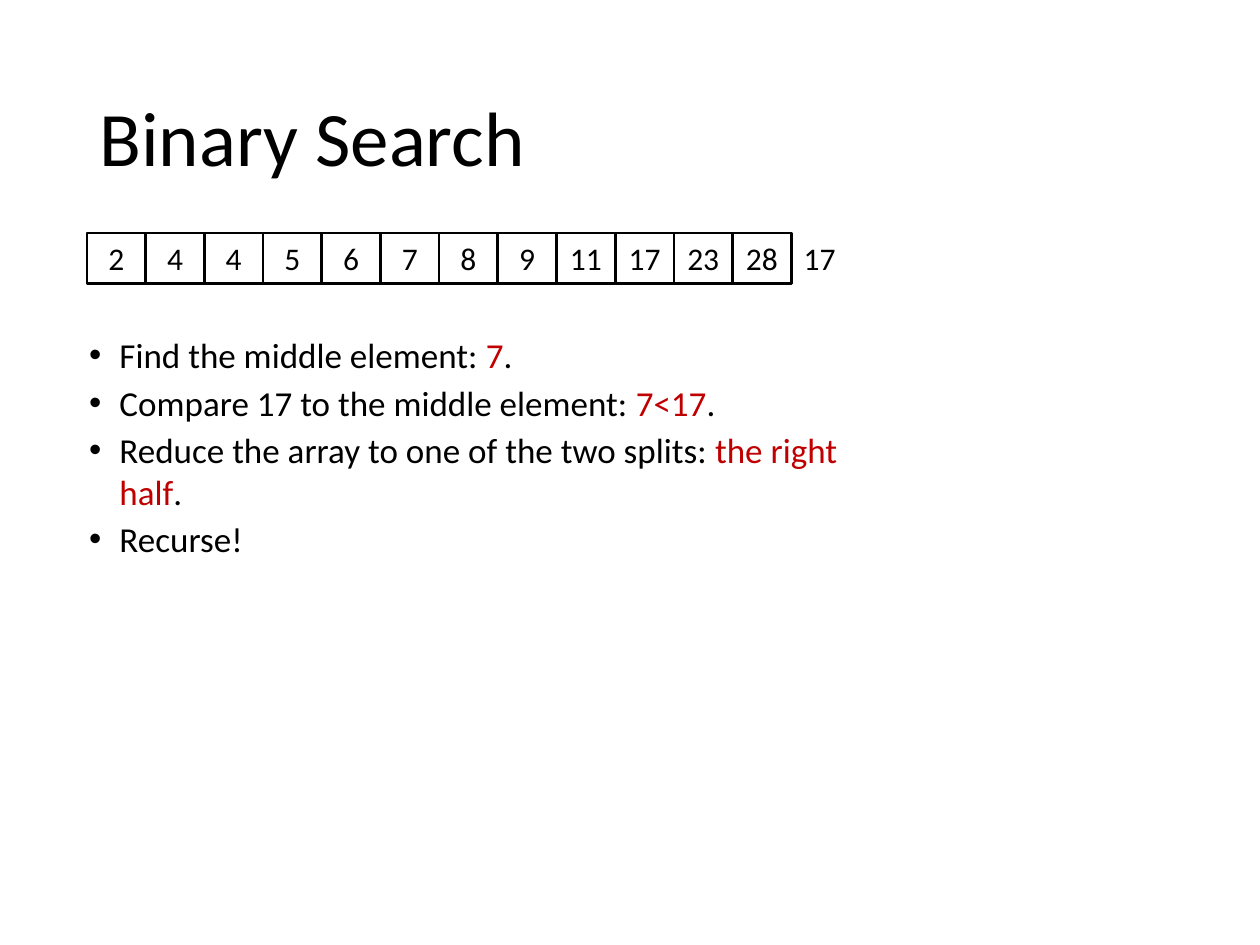
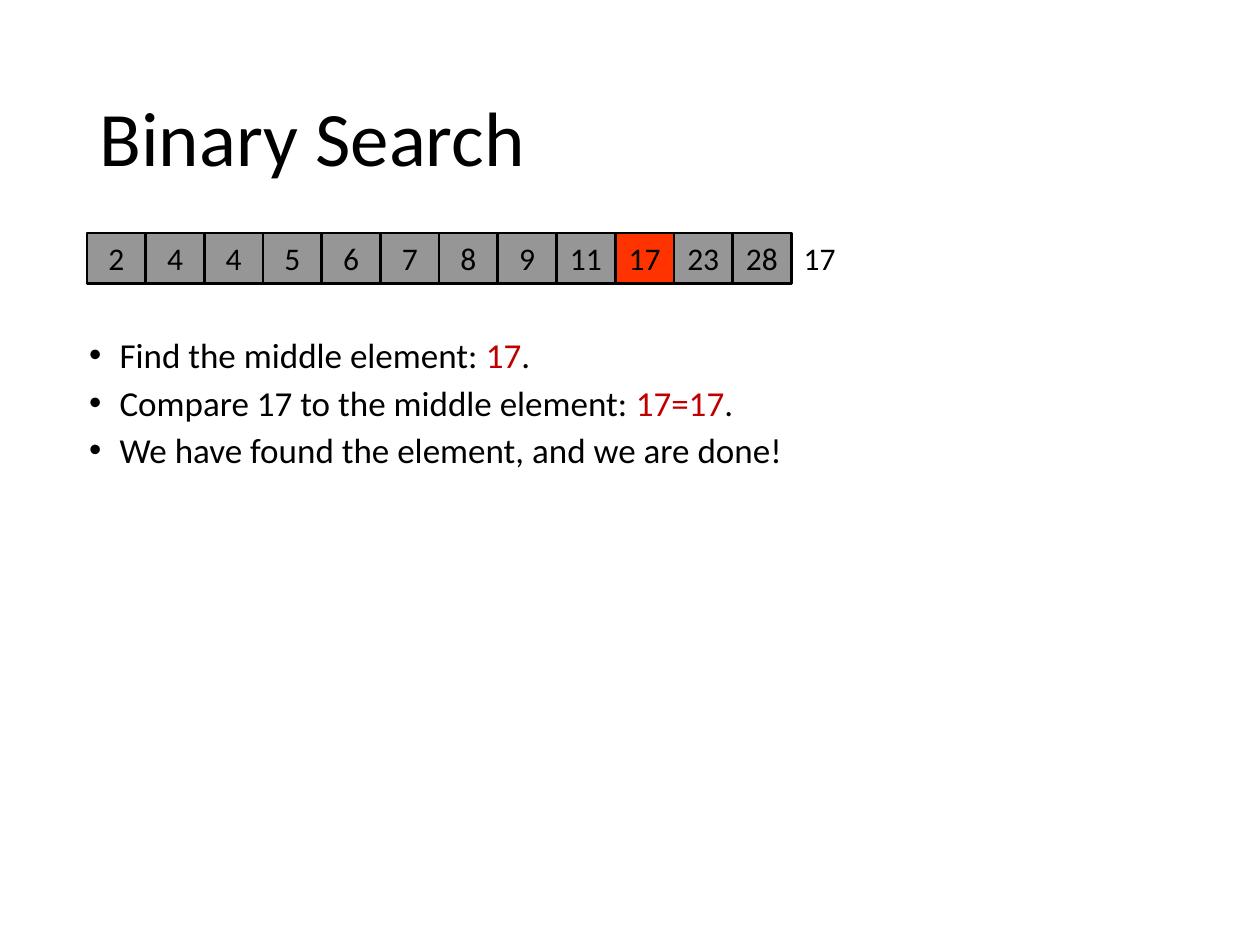
from dataclasses import dataclass

from lxml.etree import SubElement
from pptx import Presentation
from pptx.dml.color import RGBColor
from pptx.enum.shapes import MSO_SHAPE
from pptx.enum.text import MSO_ANCHOR, PP_ALIGN
from pptx.oxml.ns import qn
from pptx.util import Inches, Pt


@dataclass(frozen=True)
class Theme:
    """Colours, font and type sizes shared by both slides."""

    font: str = "Calibri"
    ink: str = "000000"
    accent: str = "C00000"
    discarded: str = "969696"
    found: str = "FF3300"
    title_size: int = 44
    cell_size: int = 18
    step_size: int = 20
    cell_line: float = 1.5


@dataclass(frozen=True)
class Box:
    """A rectangle in columns and rows of the slide grid."""

    left: float
    top: float
    width: float
    height: float

    def split(self, count):
        """Divide the box into equal boxes from left to right."""
        width = self.width / count
        return [Box(self.left + index * width, self.top, width, self.height)
                for index in range(count)]

    def place(self):
        """Return the position and size as lengths."""
        return (int(self.left * COLUMN), int(self.top * ROW),
                int(self.width * COLUMN), int(self.height * ROW))


THEME = Theme()
SLIDE_WIDTH, SLIDE_HEIGHT = Inches(10), Inches(7.5)
COLUMN, ROW = SLIDE_WIDTH / 100, SLIDE_HEIGHT / 75

TITLE_BOX = Box(6.9, 4, 86.2, 14.5)
ARRAY_BOX = Box(6.9, 18.5, 55.9, 4)
TARGET_BOX = Box(62.7, 18.5, 4.7, 4)

NUMBERS = [2, 4, 4, 5, 6, 7, 8, 9, 11, 17, 23, 28]
TARGET = 17


def write_text(shape, paragraphs, size, align=PP_ALIGN.LEFT, anchor=MSO_ANCHOR.MIDDLE,
               inset=None, line_spacing=None, space_after=0, bullet=False):
    """Fill a shape with paragraphs, each a list of text and colour pairs."""
    frame = shape.text_frame
    frame.word_wrap = True
    frame.vertical_anchor = anchor
    if inset is not None:
        frame.margin_left = frame.margin_right = Inches(inset)
    for index, spans in enumerate(paragraphs):
        para = frame.add_paragraph() if index else frame.paragraphs[0]
        para.alignment = align
        para.space_after = Pt(space_after)
        if line_spacing:
            para.line_spacing = line_spacing
        if bullet:
            add_bullet(para)
        for text, color in spans:
            span = para.add_run()
            span.text = text
            span.font.name = THEME.font
            span.font.size = Pt(size)
            span.font.color.rgb = RGBColor.from_string(color)


def add_bullet(para):
    """Give a paragraph a hanging round bullet."""
    properties = para._p.get_or_add_pPr()
    indent = Inches(0.24)
    properties.set("marL", str(indent))
    properties.set("indent", str(-indent))
    SubElement(properties, qn("a:buFont")).set("typeface", "Arial")
    SubElement(properties, qn("a:buChar")).set("char", "•")


def add_title(page, box, text):
    """Place the slide title."""
    write_text(page.shapes.add_textbox(*box.place()), [[(text, THEME.ink)]],
               THEME.title_size, line_spacing=0.9)


def add_number(shape, number):
    """Centre one number in a shape."""
    write_text(shape, [[(str(number), THEME.ink)]], THEME.cell_size,
               align=PP_ALIGN.CENTER, inset=0)


def add_array(page, box, numbers, fills):
    """Draw the array as a row of equal cells."""
    for cell_box, number, fill in zip(box.split(len(numbers)), numbers, fills):
        cell = page.shapes.add_shape(MSO_SHAPE.RECTANGLE, *cell_box.place())
        cell.shadow.inherit = False
        if fill:
            cell.fill.solid()
            cell.fill.fore_color.rgb = RGBColor.from_string(fill)
        else:
            cell.fill.background()
        cell.line.color.rgb = RGBColor.from_string(THEME.ink)
        cell.line.width = Pt(THEME.cell_line)
        add_number(cell, number)


def add_steps(page, box, steps):
    """List the steps, with every second span of a step accented."""
    colors = (THEME.ink, THEME.accent, THEME.ink)
    write_text(page.shapes.add_textbox(*box.place()),
               [list(zip(step, colors)) for step in steps],
               THEME.step_size, anchor=MSO_ANCHOR.TOP, space_after=3, bullet=True)


def add_search_page(deck, fills, steps_box, steps):
    """Build one stage of the search."""
    page = deck.slides.add_slide(deck.slide_layouts[6])
    add_title(page, TITLE_BOX, "Binary Search")
    add_array(page, ARRAY_BOX, NUMBERS, fills)
    add_number(page.shapes.add_textbox(*TARGET_BOX.place()), TARGET)
    add_steps(page, steps_box, steps)


def main():
    """Build and save the deck."""
    deck = Presentation()
    deck.slide_width, deck.slide_height = SLIDE_WIDTH, SLIDE_HEIGHT
    add_search_page(deck, [None] * len(NUMBERS), Box(6.1, 26, 66, 15.7), [
        ("Find the middle element: ", "7", "."),
        ("Compare 17 to the middle element: ", "7<17", "."),
        ("Reduce the array to one of the two splits: ", "the right half", "."),
        ("Recurse!",),
    ])
    found_fills = [THEME.found if number == TARGET else THEME.discarded
                   for number in NUMBERS]
    add_search_page(deck, found_fills, Box(6.1, 26, 57.5, 11.9), [
        ("Find the middle element: ", "17", "."),
        ("Compare 17 to the middle element: ", "17=17", "."),
        ("We have found the element, and we are done!",),
    ])
    deck.save("out.pptx")


if __name__ == "__main__":
    main()
